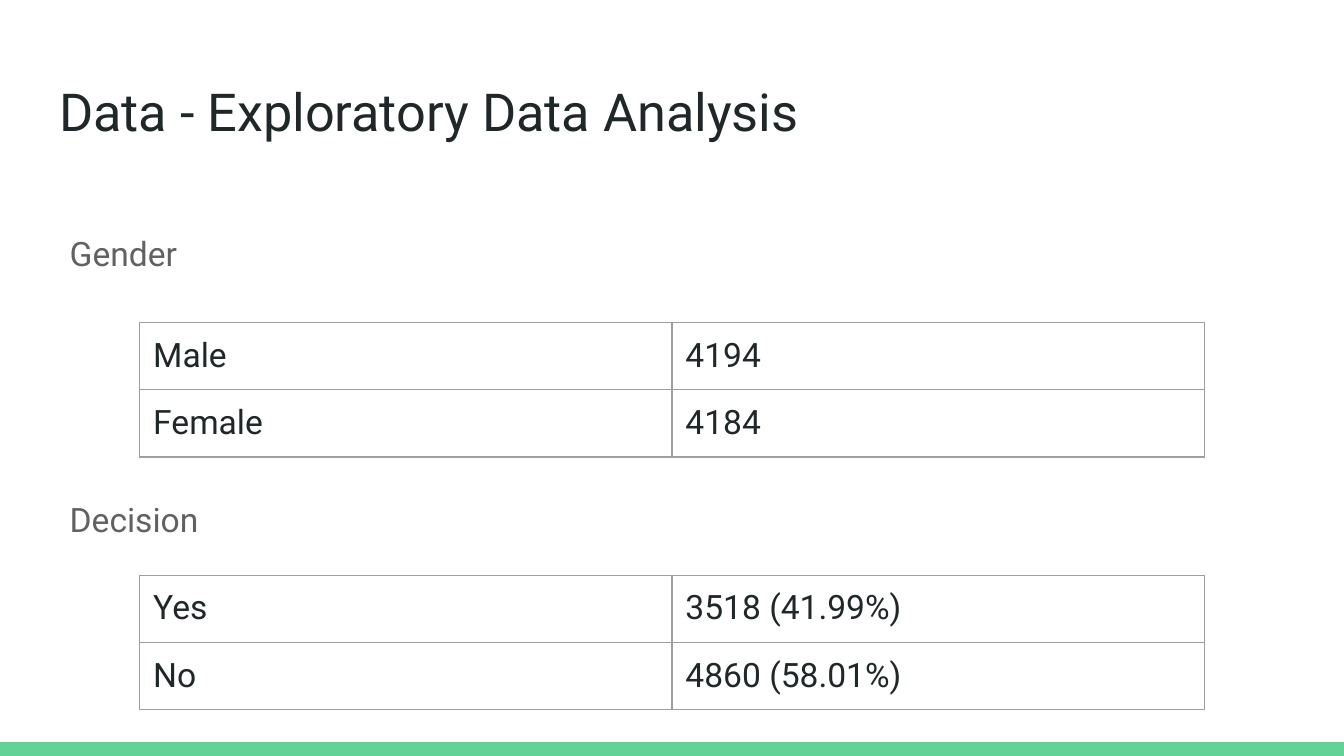
import dataclasses

import pptx
import pptx.dml.color
import pptx.enum.shapes
import pptx.enum.text
import pptx.oxml
import pptx.oxml.ns
import pptx.util

Inches = pptx.util.Inches
RGBColor = pptx.dml.color.RGBColor

INK = RGBColor(0x20, 0x27, 0x29)
GREY = RGBColor(0x61, 0x61, 0x61)
RULE = RGBColor(0x9E, 0x9E, 0x9E)
GREEN = RGBColor(0x63, 0xD2, 0x97)
WHITE = RGBColor(0xFF, 0xFF, 0xFF)
FONT = "Roboto"
PAD = Inches(0.1)
COL = Inches(3.96)
ROW = Inches(0.42)


@dataclasses.dataclass
class Group:
    label: str
    top: float
    width: float
    space: float
    grid: float
    rows: list[tuple[str, str]]


GROUPS = [
    Group("Gender", 1.59, 9.15, 1.15, 2.4,
          [("Male", "4194"), ("Female", "4184")]),
    Group("Decision", 3.61, 8.39, 1.0, 4.28,
          [("Yes", "3518 (41.99%)"), ("No", "4860 (58.01%)")]),
]


def write(frame, text: str, size: int, color: RGBColor) -> None:
    frame.text = text
    font = frame.paragraphs[0].font
    font.name, font.size = FONT, pptx.util.Pt(size)
    font.color.rgb = color


def pad(item) -> None:
    item.margin_left = item.margin_right = PAD
    item.margin_top = item.margin_bottom = PAD
    item.vertical_anchor = pptx.enum.text.MSO_ANCHOR.TOP


def border(cell) -> None:
    props = cell._tc.get_or_add_tcPr()
    for spot, side in enumerate(("lnL", "lnR", "lnT", "lnB")):
        line = pptx.oxml.parse_xml(
            f'<a:{side} {pptx.oxml.ns.nsdecls("a")} w="9525"><a:solidFill>'
            f'<a:srgbClr val="{RULE}"/></a:solidFill></a:{side}>')
        props.insert(spot, line)


def draw_label(slide, group: Group) -> None:
    box = slide.shapes.add_textbox(
        Inches(0.42), Inches(group.top), Inches(group.width), Inches(0.49))
    frame = box.text_frame
    frame.word_wrap = True
    pad(frame)
    write(frame, group.label, 18, GREY)
    frame.paragraphs[0].line_spacing = group.space


def draw_table(slide, group: Group) -> None:
    count = len(group.rows)
    table = slide.shapes.add_table(
        count, 2, Inches(1.04), Inches(group.grid), COL * 2, ROW * count).table
    table.first_row = table.horz_banding = False
    for r, row in enumerate(group.rows):
        for c, text in enumerate(row):
            cell = table.cell(r, c)
            cell.fill.background()
            border(cell)
            pad(cell)
            write(cell.text_frame, text, 18, INK)


def main() -> None:
    # Widescreen page, 16 by 9
    deck = pptx.Presentation()
    deck.slide_width = Inches(10)
    deck.slide_height = deck.slide_width * 9 // 16
    slide = deck.slides.add_slide(deck.slide_layouts[5])
    slide.background.fill.solid()
    slide.background.fill.fore_color.rgb = WHITE

    # Bottom bar
    top = Inches(5.52)
    bar = slide.shapes.add_shape(
        pptx.enum.shapes.MSO_SHAPE.RECTANGLE,
        0, top, deck.slide_width, deck.slide_height - top)
    bar.shadow.inherit = False
    bar.fill.solid()
    bar.fill.fore_color.rgb = GREEN
    bar.line.fill.background()

    # Title
    title = slide.shapes.title
    title.left, title.top = Inches(0.34), Inches(0.49)
    title.width, title.height = Inches(9.32), Inches(0.63)
    frame = title.text_frame
    frame.auto_size = pptx.enum.text.MSO_AUTO_SIZE.NONE
    pad(frame)
    write(frame, "Data - Exploratory Data Analysis", 28, INK)
    frame.paragraphs[0].alignment = pptx.enum.text.PP_ALIGN.LEFT

    # Labelled tables
    for group in GROUPS:
        draw_label(slide, group)
        draw_table(slide, group)

    deck.save("out.pptx")


if __name__ == "__main__":
    main()
